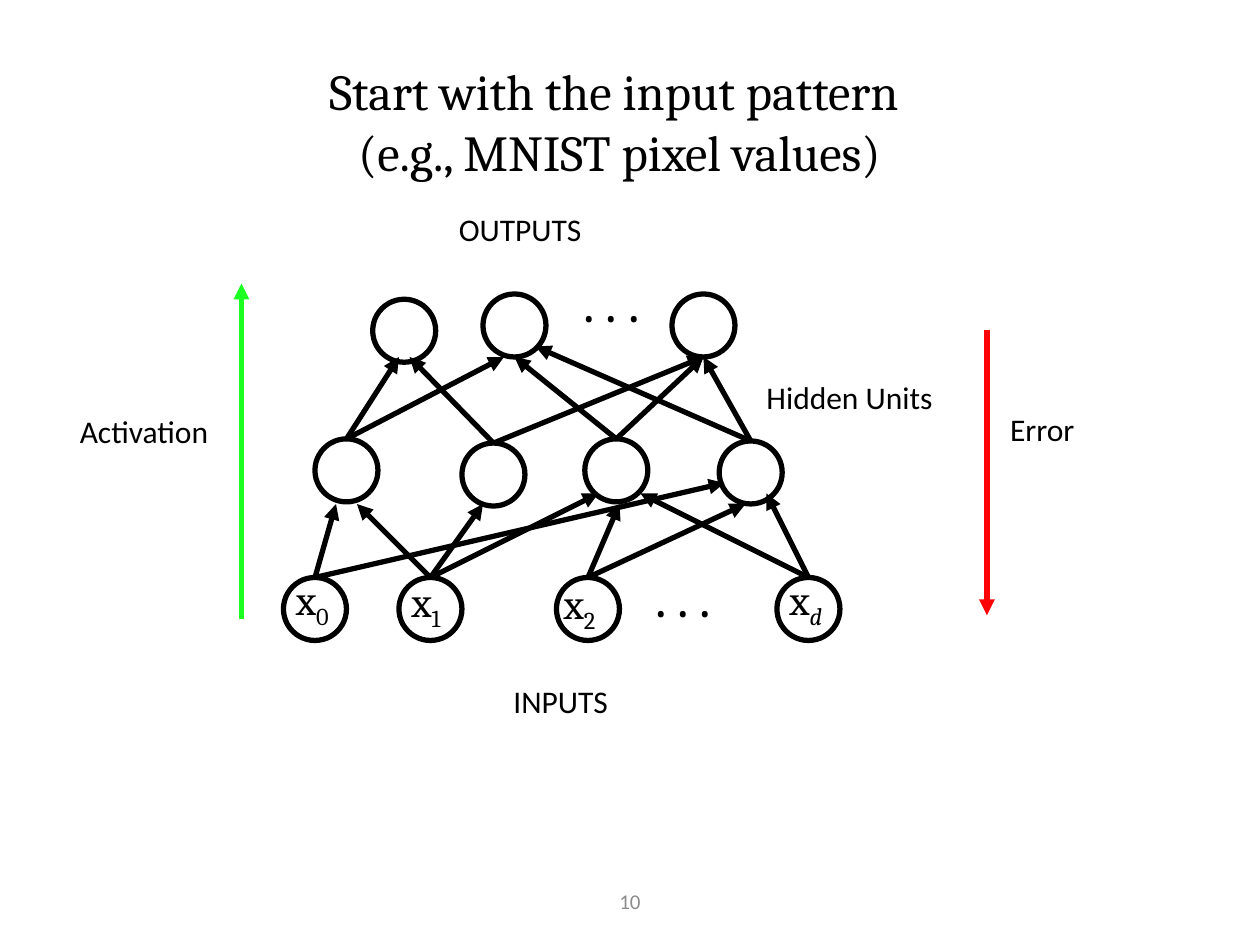
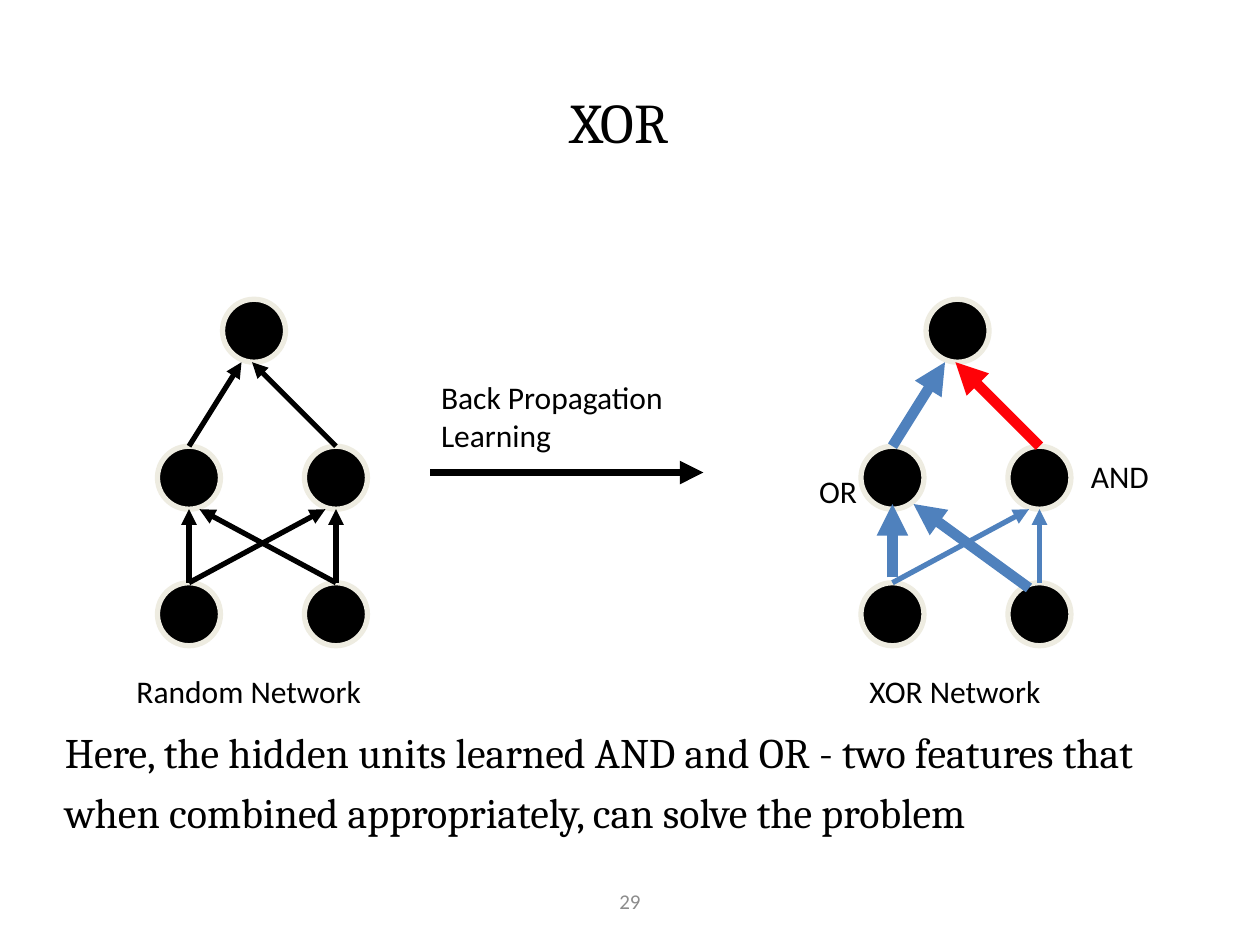
import pptx
import pptx.util
import pptx.dml.color
import pptx.enum.shapes
import pptx.enum.text
import pptx.oxml.ns
from lxml import etree

# Shared style: the slide is a grid of 120 columns by 90 rows
COLS, ROWS = 120, 90
WIDTH, HEIGHT = pptx.util.Inches(10), pptx.util.Inches(7.5)
NODE = 6
COLORS = {"ink": "000000", "halo": "EEECE1", "page": "8C8C8C",
          "blue": "4F81BD", "red": "FF0208", "green": "1CFF23"}
SERIF, SANS = "Cambria", "Calibri"
ALIGN = pptx.enum.text.PP_ALIGN
ANCHOR = pptx.enum.text.MSO_ANCHOR


def col(n):
    return round(WIDTH * n / COLS)


def row(n):
    return round(HEIGHT * n / ROWS)


def rgb(name):
    return pptx.dml.color.RGBColor.from_string(COLORS[name])


def set_font(p, size, name, color="ink"):
    p.font.size = pptx.util.Pt(size)
    p.font.name = name
    p.font.color.rgb = rgb(color)


def add_text(s, text, x, y, w, h, size=18, font=SANS, color="ink",
             padded=False, align=ALIGN.LEFT, anchor=ANCHOR.TOP, spacing=None):
    """Text box; a padded one wraps, a bare one hugs its text."""
    tf = s.shapes.add_textbox(col(x), row(y), col(w), row(h)).text_frame
    tf.word_wrap = padded
    tf.vertical_anchor = anchor
    if not padded:
        tf.auto_size = pptx.enum.text.MSO_AUTO_SIZE.SHAPE_TO_FIT_TEXT
        tf.margin_left = tf.margin_right = tf.margin_top = tf.margin_bottom = 0
    tf.text = text
    for p in tf.paragraphs:
        p.alignment = align
        if spacing:
            p.line_spacing = spacing
        set_font(p, size, font, color)
    return tf


def add_input_label(s, index, x, y):
    tf = add_text(s, "x", x, y, 7.8, 7.4, 24, SERIF, padded=True)
    r = tf.paragraphs[0].add_run()
    r.text = index
    if index.isalpha():
        r.font.italic = True
    r._r.get_or_add_rPr().set("baseline", "-25000")


def add_node(s, center, line, fill=None):
    x, y = center
    sp = s.shapes.add_shape(pptx.enum.shapes.MSO_SHAPE.OVAL,
                            col(x - NODE / 2), row(y - NODE / 2), col(NODE), row(NODE))
    sp.shadow.inherit = False
    if fill:
        sp.fill.solid()
        sp.fill.fore_color.rgb = rgb(fill)
    else:
        sp.fill.background()
    sp.line.color.rgb = rgb(line)
    sp.line.width = pptx.util.Pt(3)
    return sp


def add_arrow(s, start, end, color="ink", width=3):
    """Arrow from a grid point, or from the top of a node."""
    on_node = not isinstance(start, tuple)
    x, y = end if on_node else start
    cn = s.shapes.add_connector(pptx.enum.shapes.MSO_CONNECTOR.STRAIGHT,
                                col(x), row(y), col(end[0]), row(end[1]))
    if on_node:
        cn.begin_connect(start, 0)
    cn.line.color.rgb = rgb(color)
    cn.line.width = pptx.util.Pt(width)
    qn = pptx.oxml.ns.qn
    etree.SubElement(cn.line._get_or_add_ln(), qn("a:tailEnd"), type="triangle")
    etree.SubElement(cn._element.spPr, qn("a:effectLst"))


def new_slide(prs, title, size, number):
    s = prs.slides.add_slide(prs.slide_layouts[5])
    sp = s.shapes.title
    sp.left, sp.top, sp.width, sp.height = col(1), row(6), col(116), row(11)
    tf = sp.text_frame
    tf.text = title
    tf.vertical_anchor = ANCHOR.MIDDLE
    p = tf.paragraphs[0]
    p.alignment = ALIGN.CENTER
    set_font(p, size, SERIF)
    add_text(s, number, 41, 83.4, 38, 4.8, 12, color="page", padded=True,
             align=ALIGN.CENTER, anchor=ANCHOR.MIDDLE)
    return s


def input_pattern_slide(prs):
    s = new_slide(prs, "Start with the input pattern \v(e.g., MNIST pixel values)", 28.8, "10")

    # Layers of units
    centers = {"out0": (38.5, 31.5), "out1": (49, 31), "out2": (67, 31),
               "hid0": (33, 44.8), "hid1": (47, 45.2), "hid2": (58.7, 44.8), "hid3": (71.5, 45),
               "x0": (30, 58), "x1": (41, 58), "x2": (56, 58), "xd": (77, 58)}
    nodes = {name: add_node(s, center, "ink") for name, center in centers.items()}

    # Weights, from each unit to the points its arrows reach
    links = {"x0": [(32, 48), (69, 46)],
             "x1": [(34, 48), (57, 47), (46, 48)],
             "x2": [(59, 48), (71, 48)],
             "xd": [(73, 47), (61, 47)],
             "hid0": [(38, 34), (48, 34)],
             "hid1": [(39, 34), (67, 34)],
             "hid2": [(67, 34), (49, 34)],
             "hid3": [(67, 34), (51, 33)]}
    for name, ends in links.items():
        for end in ends:
            add_arrow(s, nodes[name], end)

    # Directions of flow
    add_arrow(s, (23, 59), (23, 27), "green")
    add_arrow(s, (94, 31.4), (94, 58.6), "red")

    # Labels
    for text, x, y, w in [("OUTPUTS", 43.7, 20, 12.8), ("Hidden Units", 73, 36, 17),
                          ("INPUTS", 48.9, 65, 10.2), ("Activation", 7.6, 39.2, 13),
                          ("Error", 96.2, 39, 6.6)]:
        add_text(s, text, x, y, w, 3)
    for x, y in [(55.6, 25.4), (62.4, 53.5)]:
        add_text(s, ". . .", x, y, 6.8, 3, 32, SERIF)
    for index, x, y in [("0", 27, 54), ("1", 38, 54.2), ("2", 52.5, 54.4), ("d", 74, 54)]:
        add_input_label(s, index, x, y)


def add_xor_network(s, left, links):
    """Two inputs, two hidden units and one output; link points count from left."""
    centers = {"hid0": (3, 45.5), "hid1": (17, 45.5), "out": (9.2, 31.5),
               "in0": (3, 58.5), "in1": (17, 58.5)}
    nodes = {name: add_node(s, (left + x, y), "halo", "ink")
             for name, (x, y) in centers.items()}
    for start, (x, y), color, width in links:
        if isinstance(start, tuple):
            start = (left + start[0], start[1])
        else:
            start = nodes[start]
        add_arrow(s, start, (left + x, y), color, width)


def xor_slide(prs):
    s = new_slide(prs, "XOR", 32, "29")

    # Networks before and after learning
    targets = [("in0", (3, 48.5)), ("in1", (4, 48.5)), ("in0", (16, 48.5)),
               ("in1", (17, 48.5)), ("hid0", (8, 34.5)), ("hid1", (9, 34.5))]
    add_xor_network(s, 15, [(start, end, "ink", 3) for start, end in targets])
    add_xor_network(s, 82, [("in0", (16, 48.5), "blue", 3), ("hid0", (8, 34.5), "blue", 6),
                            ("hid1", (9, 34.5), "red", 6), ("in1", (17, 48.5), "blue", 3),
                            ((16, 56), (5, 48), "blue", 6), ((3, 55), (3, 48), "blue", 6)])
    add_arrow(s, (41, 45), (67, 45), width=4.5)

    # Labels
    for text, x, y, w in [("Back Propagation\nLearning", 42, 36, 21.5),
                          ("Random Network", 13, 64, 21.6), ("XOR Network", 82.8, 64, 16.6),
                          ("AND", 103.9, 43.5, 6), ("OR", 78, 45, 4)]:
        add_text(s, text, x, y, w, 3.6 * len(text.splitlines()))

    # Conclusion
    add_text(s, "Here, the hidden units learned AND and OR - two features that when combined "
             "appropriately, can solve the problem", 5, 67.6, 112, 14, 24, SERIF,
             padded=True, spacing=1.2)


def main():
    prs = pptx.Presentation()
    prs.slide_width, prs.slide_height = WIDTH, HEIGHT
    input_pattern_slide(prs)
    xor_slide(prs)
    prs.save("out.pptx")


if __name__ == "__main__":
    main()
